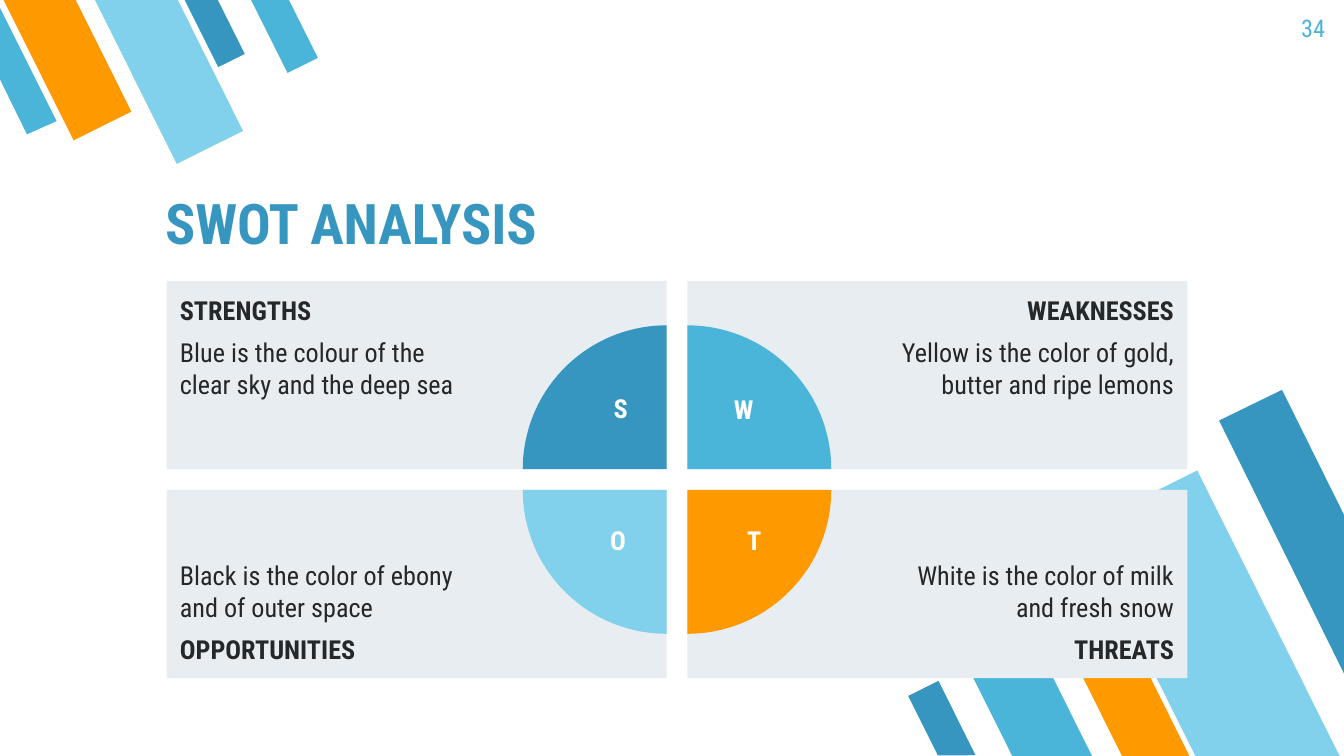
import pptx
import pptx.util
import pptx.dml.color
import pptx.enum.shapes
import pptx.enum.text

Cm, Pt = pptx.util.Cm, pptx.util.Pt
KIND = pptx.enum.shapes.MSO_SHAPE
SIDE = pptx.enum.text.PP_ALIGN
EDGE = pptx.enum.text.MSO_ANCHOR

HUES = {"deep": "3796BF", "mid": "4BB5D9", "pale": "81D1EC", "warm": "FF9900",
        "card": "E8EDF1", "ink": "252729", "white": "FFFFFF"}
FONT = "Roboto Condensed"


def hue(name):
    return pptx.dml.color.RGBColor.from_string(HUES[name])


def style(item, form):
    for name, value in form.items():
        setattr(item, name, value)


class Deck:
    def __init__(self, wide, high):
        self.file = pptx.Presentation()
        style(self.file, {"slide_width": Cm(wide), "slide_height": Cm(high)})
        self.slide = self.file.slides.add_slide(self.file.slide_layouts[6])
        self.items = self.slide.shapes

    def paint(self, item, fill):
        item.shadow.inherit = False
        item.fill.solid()
        item.fill.fore_color.rgb = hue(fill)
        item.line.fill.background()
        return item

    def shape(self, kind, box, fill, turn=0):
        item = self.items.add_shape(kind, *map(Cm, box))
        item.rotation = turn
        return self.paint(item, fill)

    def stripe(self, box, fill, turn):
        item = self.shape(KIND.FLOWCHART_MANUAL_INPUT, box, fill, turn)
        item._element.spPr.xfrm.set("flipH", "1")

    def outline(self, dots, fill):
        dots = [(Cm(x), Cm(y)) for x, y in dots]
        form = self.items.build_freeform(*dots[0], scale=1.0)
        form.add_line_segments(dots[1:], close=True)
        self.paint(form.convert_to_shape(), fill)

    def pie(self, box, fill, turn):
        item = self.shape(KIND.PIE, box, fill, turn)
        item.adjustments[0], item.adjustments[1] = 108, 162

    def label(self, item, lines, frame, para):
        """Each line is (text, font values, paragraph values)."""
        body = item.text_frame
        style(body, {"word_wrap": True, "vertical_anchor": EDGE.TOP, **frame})
        for place, (text, font, extra) in enumerate(lines):
            part = body.add_paragraph() if place else body.paragraphs[0]
            style(part, {**para, **extra})
            run = part.add_run()
            run.text = text
            style(run.font, {"name": FONT, "size": Pt(font.get("size", 14)),
                             "bold": font.get("bold", False)})
            run.font.color.rgb = hue(font.get("tint", "ink"))

    def text(self, box, text, font, frame, side):
        item = self.items.add_textbox(*map(Cm, box))
        self.label(item, [(text, font, {})], frame, {"alignment": side})


def pads(left=0.25, right=0.25):
    return {"margin_left": Cm(left), "margin_right": Cm(right),
            "margin_top": Cm(0.25), "margin_bottom": Cm(0.25)}


deck = Deck(25.4, 14.29)

# Corner stripes: lower right, then upper left
STRIPES = {
    153.5: [((18.62, 11.43, 1.35, 3.35), "mid"), ((21.67, 9.12, 2.44, 6.07), "pale"),
            ((20.78, 11.89, 1.14, 2.82), "warm"), ((17.48, 12.93, 0.64, 1.57), "deep")],
    333.5: [((3.78, -0.2, 0.56, 1.42), "deep"), ((0.66, -0.46, 1.22, 3), "warm"),
            ((2.49, -0.51, 1.4, 3.48), "pale"), ((5.05, -0.25, 0.64, 1.57), "mid")],
}
for turn, group in STRIPES.items():
    for box, fill in group:
        deck.stripe(box, fill, turn)
deck.outline([(24.23, 7.37), (23.04, 7.95), (25.4, 12.73), (25.4, 9.73)], "deep")
deck.outline([(0.51, 2.54), (1.07, 2.29), (0, 0.15), (0, 1.5)], "mid")

# Title and page number
deck.text((2.87, 3.2, 16, 1.88), "SWOT ANALYSIS",
          {"size": 30, "bold": True, "tint": "deep"},
          {**pads(), "vertical_anchor": EDGE.BOTTOM}, SIDE.LEFT)
deck.text((23.77, 0, 1.52, 1.09), "34", {"size": 13, "tint": "mid"}, pads(), SIDE.RIGHT)

# Four parts: row, column, heading, body, fill, pie turn, letter box
PARTS = [
    (0, 0, "STRENGTHS", "Blue is the colour of the clear sky and the deep sea",
     "deep", 0, (11.35, 7.29, 0.61, 1.14)),
    (0, 1, "WEAKNESSES", "Yellow is the color of gold, butter and ripe lemons",
     "mid", 90, (13.61, 7.32, 0.89, 1.12)),
    (1, 0, "OPPORTUNITIES", "Black is the color of ebony and of outer space",
     "pale", 270, (11.28, 9.78, 0.69, 1.14)),
    (1, 1, "THREATS", "White is the color of milk and fresh snow",
     "warm", 180, (13.87, 9.78, 0.58, 1.12)),
]
LEFT, TOP, WIDE, HIGH, GAP, RAD = 3.15, 5.31, 9.45, 3.56, 0.39, 2.72

# Cards
for row, col, head, body, *_ in PARTS:
    card = deck.shape(KIND.RECTANGLE, (LEFT + col * (WIDE + GAP),
                                       TOP + row * (HIGH + GAP), WIDE, HIGH), "card")
    lines = [(head, {"bold": True}, {}), (body, {}, {})]
    if row:
        lines.reverse()
    lines[1][2].update(space_before=Pt(6), space_after=Pt(6))
    inset = pads(left=3.81) if col else pads(right=3.81)
    deck.label(card, lines,
               {**inset, "vertical_anchor": EDGE.BOTTOM if row else EDGE.TOP},
               {"alignment": SIDE.RIGHT if col else SIDE.LEFT})

# Quarter pies, centred on the inner corners of the cards
for row, col, _, _, fill, turn, _ in PARTS:
    deck.pie((LEFT + WIDE + col * GAP - RAD, TOP + HIGH + row * GAP - RAD,
              2 * RAD, 2 * RAD), fill, turn)

# Letters
for _, _, head, _, _, _, box in PARTS:
    deck.text(box, head[0], {"bold": True, "tint": "white"},
              {"word_wrap": False}, SIDE.CENTER)

deck.file.save("out.pptx")
